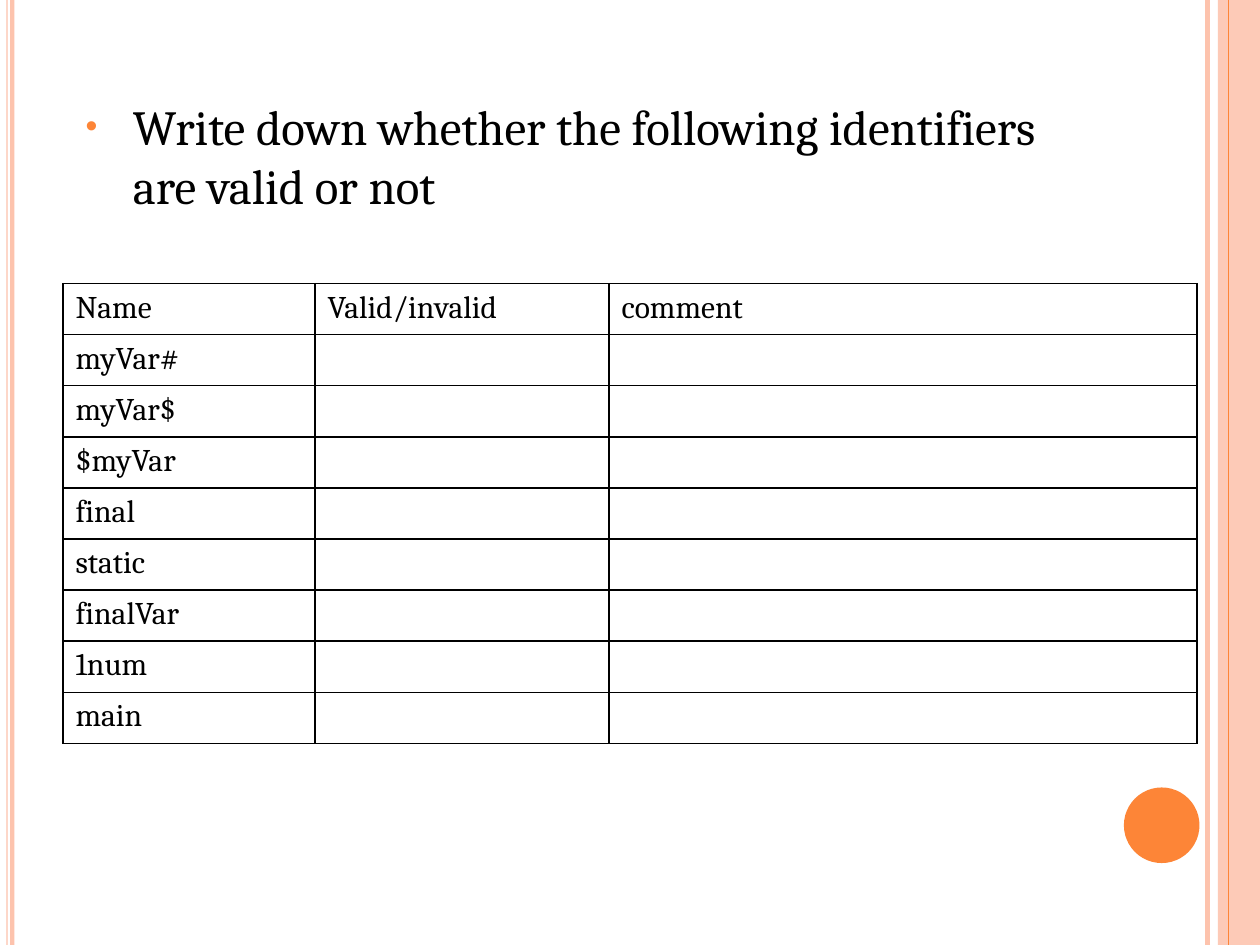
import pptx
import pptx.dml.color
import pptx.enum.shapes
import pptx.oxml
import pptx.oxml.ns
import pptx.util

Pt = pptx.util.Pt
NAMESPACE = pptx.oxml.ns.nsdecls("a")

WIDTH, HEIGHT = 720, 540
PEACH, ORANGE, BLACK = "FDC3AD", "FD8537", "000000"


def color(value):
    return pptx.dml.color.RGBColor.from_string(value)


def add_xml(parent, markup):
    """Append one DrawingML element, given without its namespace."""
    tag, rest = markup[:-1].split(" ", 1) if " " in markup.split(">")[0] else markup[:-1].split(">", 1)
    joiner = " " if " " in markup.split(">")[0] else ">"
    element = pptx.oxml.parse_xml(f"{tag} {NAMESPACE}{joiner}{rest}>")
    parent.append(element)
    return element


class SlideBuilder:
    font = "Cambria"

    def __init__(self, slide):
        self.slide = slide

    def format_text(self, paragraph, size):
        for span in paragraph.runs:
            span.font.name = self.font
            span.font.size = Pt(size)
            span.font.color.rgb = color(BLACK)

    def shape(self, kind, left, top, width, height, fill, alpha=100):
        shape = self.slide.shapes.add_shape(kind, Pt(left), Pt(top), Pt(width), Pt(height))
        shape.shadow.inherit = False
        shape.fill.solid()
        shape.fill.fore_color.rgb = color(fill)
        shape.line.fill.background()
        if alpha < 100:
            tint = shape._element.spPr.find(".//" + pptx.oxml.ns.qn("a:srgbClr"))
            add_xml(tint, f'<a:alpha val="{alpha * 1000}"/>')

    def stripe(self, left, width, fill, alpha=100):
        kind = pptx.enum.shapes.MSO_SHAPE.RECTANGLE
        self.shape(kind, left, 0, width, HEIGHT, fill, alpha)

    def rule(self, x, line_color, weight):
        kind = pptx.enum.shapes.MSO_CONNECTOR.STRAIGHT
        line = self.slide.shapes.add_connector(kind, Pt(x), Pt(0), Pt(x), Pt(HEIGHT))
        line.line.color.rgb = color(line_color)
        line.line.width = Pt(weight)
        add_xml(line._element.spPr, '<a:effectLst />')

    def bullet(self, text, left, top, width, height, size):
        box = self.slide.shapes.add_textbox(Pt(left), Pt(top), Pt(width), Pt(height))
        frame = box.text_frame
        frame.word_wrap = True
        frame.margin_left = frame.margin_right = frame.margin_bottom = 0
        frame.margin_top = Pt(1)
        frame.text = text
        para = frame.paragraphs[0]
        properties = para._p.get_or_add_pPr()
        properties.set("marL", str(Pt(28)))
        properties.set("indent", str(-Pt(27)))
        add_xml(properties, f'<a:buClr><a:srgbClr val="{ORANGE}"/></a:buClr>')
        add_xml(properties, '<a:buSzPct val="69000"/>')
        add_xml(properties, '<a:buFont typeface="Arial"/>')
        add_xml(properties, '<a:buChar char="•"/>')
        add_xml(properties, f'<a:tabLst><a:tab pos="{Pt(22)}" algn="l"/></a:tabLst>')
        self.format_text(para, size)

    def table(self, rows, left, top, column_widths, row_height, size):
        frame = self.slide.shapes.add_table(
            len(rows), len(column_widths), Pt(left), Pt(top),
            Pt(sum(column_widths)), Pt(row_height * len(rows)))
        table = frame.table
        table.first_row = table.horz_banding = False
        for column, width in zip(table.columns, column_widths):
            column.width = Pt(width)
        for row, texts in zip(table.rows, rows):
            row.height = Pt(row_height)
            for cell, text in zip(row.cells, texts):
                if text:
                    cell.text = text
                    self.format_text(cell.text_frame.paragraphs[0], size)
                self.cell_borders(cell, 1)
                cell.fill.background()

    def cell_borders(self, cell, weight):
        properties = cell._tc.get_or_add_tcPr()
        for side in "LRTB":
            add_xml(properties, f'<a:ln{side} w="{Pt(weight)}"><a:solidFill>'
                                f'<a:srgbClr val="{BLACK}"/></a:solidFill></a:ln{side}>')


def main():
    deck = pptx.Presentation()
    deck.slide_width, deck.slide_height = Pt(WIDTH), Pt(HEIGHT)
    page = SlideBuilder(deck.slides.add_slide(deck.slide_layouts[6]))

    # Side stripes and the round accent
    page.rule(690, PEACH, 3)
    page.shape(pptx.enum.shapes.MSO_SHAPE.OVAL, 642.25, 450, 43.2, 43.2, ORANGE)
    page.stripe(3.75, 0.75, PEACH)
    page.stripe(5.75, 2.5, PEACH)
    page.stripe(696, 24, PEACH, alpha=87)
    page.rule(702, ORANGE, 0.75)

    # Task
    page.bullet("Write down whether the following identifiers are valid or not",
                48, 54, 564, 69, 28)

    # Identifier table, with blank answer columns
    identifiers = ["myVar#", "myVar$", "$myVar", "final", "static",
                   "finalVar", "1num", "main"]
    rows = [("Name", "Valid/invalid", "comment")]
    rows += [(name, "", "") for name in identifiers]
    page.table(rows, 36, 162, (144, 168, 336), 29.2, 18)

    deck.save("out.pptx")


if __name__ == "__main__":
    main()
